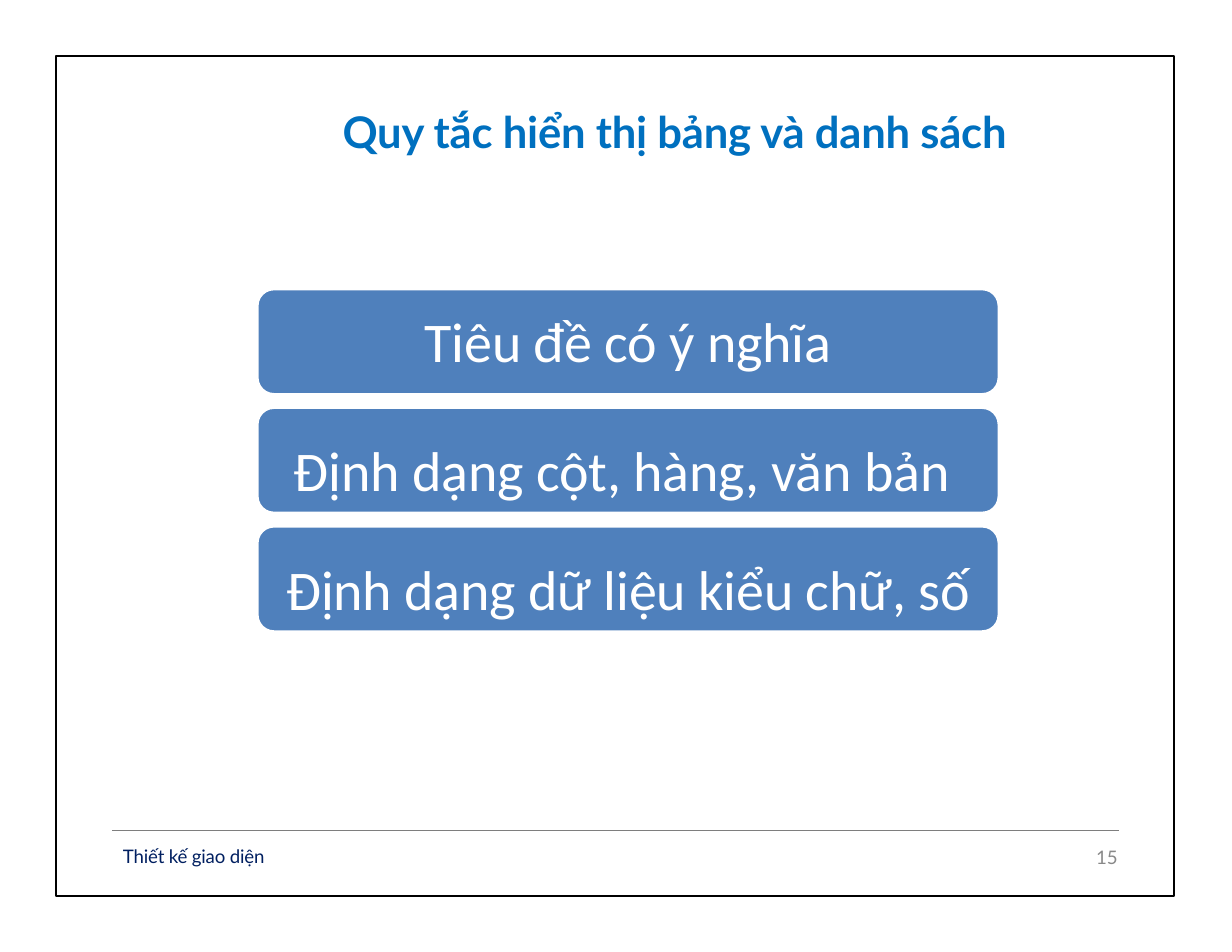
from lxml import etree
from pptx import Presentation
from pptx import util as u
from pptx.dml.color import RGBColor
from pptx.enum import shapes, text
from pptx.oxml.ns import qn


def colour(value):
    return RGBColor.from_string(value)


class Page:
    """Holds the style and the slide that is being drawn."""
    heading_font, rule_font = "Lato", "Calibri"
    blue, white, black = "4F80BC", "FFFFFF", "000000"

    def __init__(self, slide):
        self.slide = slide

    def set_words(self, frame, words, size, hue, font, bold=False, align=None):
        frame.word_wrap = True
        paragraph = frame.paragraphs[0]
        run = paragraph.add_run()
        run.text = words
        run._r.get_or_add_rPr().set("spc", "-10")
        paragraph.alignment = align
        paragraph.font.size = u.Pt(size)
        paragraph.font.name = font
        paragraph.font.bold = bold
        paragraph.font.color.rgb = colour(hue)

    def inset(self, frame, top=0, right=0, bottom=0):
        frame.margin_left = 0
        frame.margin_top = u.Cm(top)
        frame.margin_right = u.Cm(right)
        frame.margin_bottom = u.Cm(bottom)

    def label(self, box, words, size, hue, **style):
        frame = self.slide.shapes.add_textbox(*map(u.Cm, box)).text_frame
        self.inset(frame, top=0.06)
        self.set_words(frame, words, size, hue, self.heading_font, **style)

    def shape(self, kind, box, line, width, fill=None):
        item = self.slide.shapes.add_shape(kind, *map(u.Cm, box))
        item.shadow.inherit = False
        if fill:
            item.fill.solid()
            item.fill.fore_color.rgb = colour(fill)
        else:
            item.fill.background()
        item.line.color.rgb = colour(line)
        item.line.width = u.Pt(width)
        return item

    def bar(self, box, words, **insets):
        item = self.shape(shapes.MSO_SHAPE.ROUNDED_RECTANGLE, box,
                          self.white, 2, self.blue)
        item.adjustments[0] = 0.16
        frame = item.text_frame
        frame.vertical_anchor = text.MSO_ANCHOR.MIDDLE
        self.inset(frame, **insets)
        self.set_words(frame, words, 36, self.white, self.rule_font,
                       align=text.PP_ALIGN.CENTER)

    def rule(self, left, right, y, hue, width):
        line = self.slide.shapes.add_connector(
            shapes.MSO_CONNECTOR.STRAIGHT, *map(u.Cm, (left, y, right, y)))
        line.line.color.rgb = colour(hue)
        line.line.width = u.Pt(width)
        etree.SubElement(line._element.spPr, qn("a:effectLst"))


def main():
    deck = Presentation()
    deck.slide_width, deck.slide_height = u.Cm(27.94), u.Cm(21.59)
    page = Page(deck.slides.add_slide(deck.slide_layouts[6]))

    # Title
    page.label((7.77, 2.31, 17.4, 1.24), "Quy tắc hiển thị bảng và danh sách",
               28, "0070BF", bold=True)

    # Display rules, with insets that place each line in its bar
    display_rules = [
        ("Tiêu đề có ý nghĩa", {"bottom": 0.09}),
        ("Định dạng cột, hàng, văn bản", {"top": 0.41, "right": 0.29}),
        ("Định dạng dữ liệu kiểu chữ, số", {"top": 0.41}),
    ]
    for row, (words, insets) in enumerate(display_rules):
        page.bar((5.83, 6.55 + row * 2.69, 16.83, 2.4), words, **insets)

    # Page frame
    page.shape(shapes.MSO_SHAPE.RECTANGLE, (1.27, 1.27, 25.36, 19.05),
               page.black, 0.96)

    # Footer
    page.rule(2.54, 25.38, 18.84, "7E7E7E", 0.84)
    page.label((2.79, 19.1, 3.6, 0.58), "Thiết kế giao diện", 12, "001F60")
    page.label((24.86, 19.13, 0.61, 0.58), "15", 12, "898989")

    deck.save("out.pptx")


if __name__ == "__main__":
    main()
